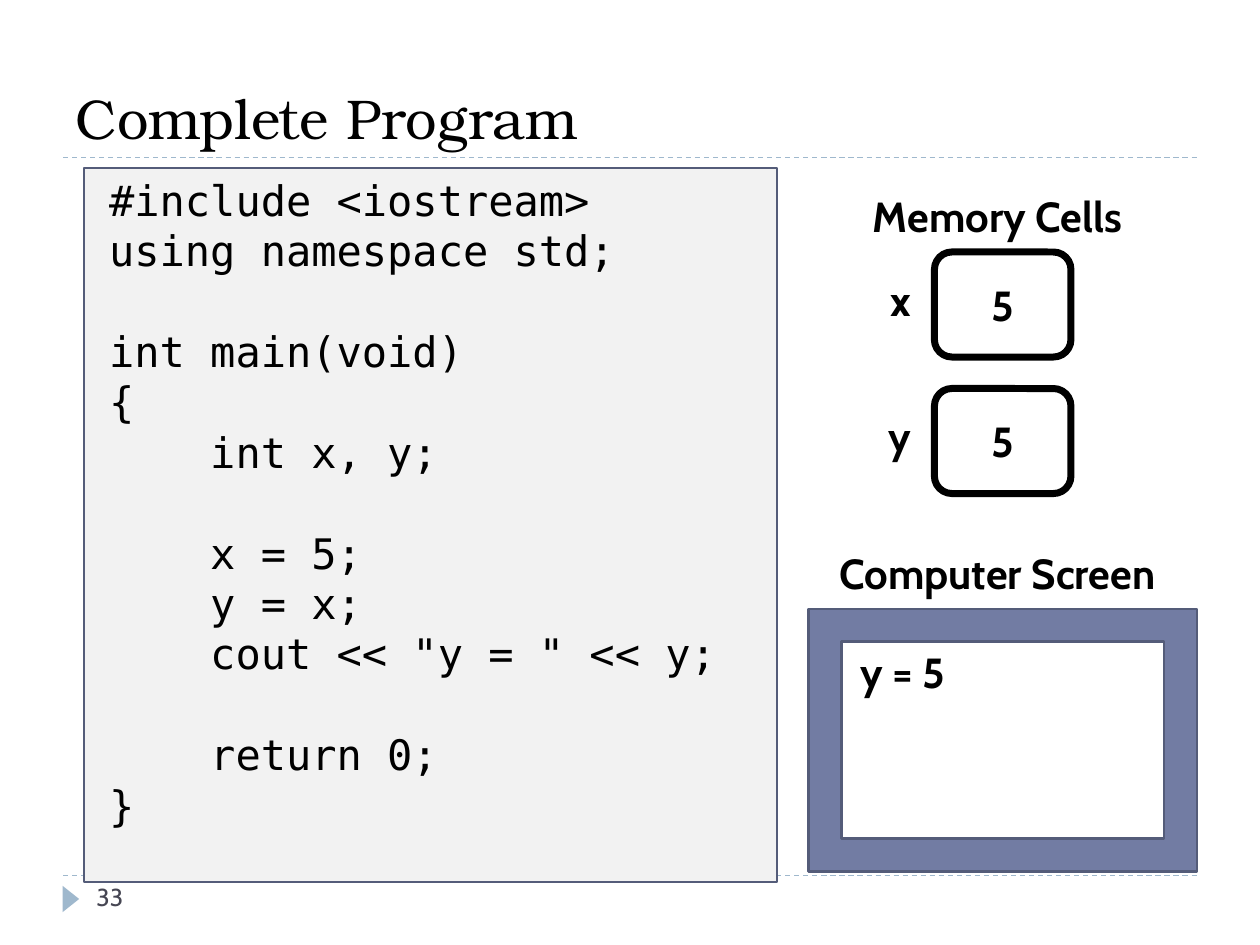
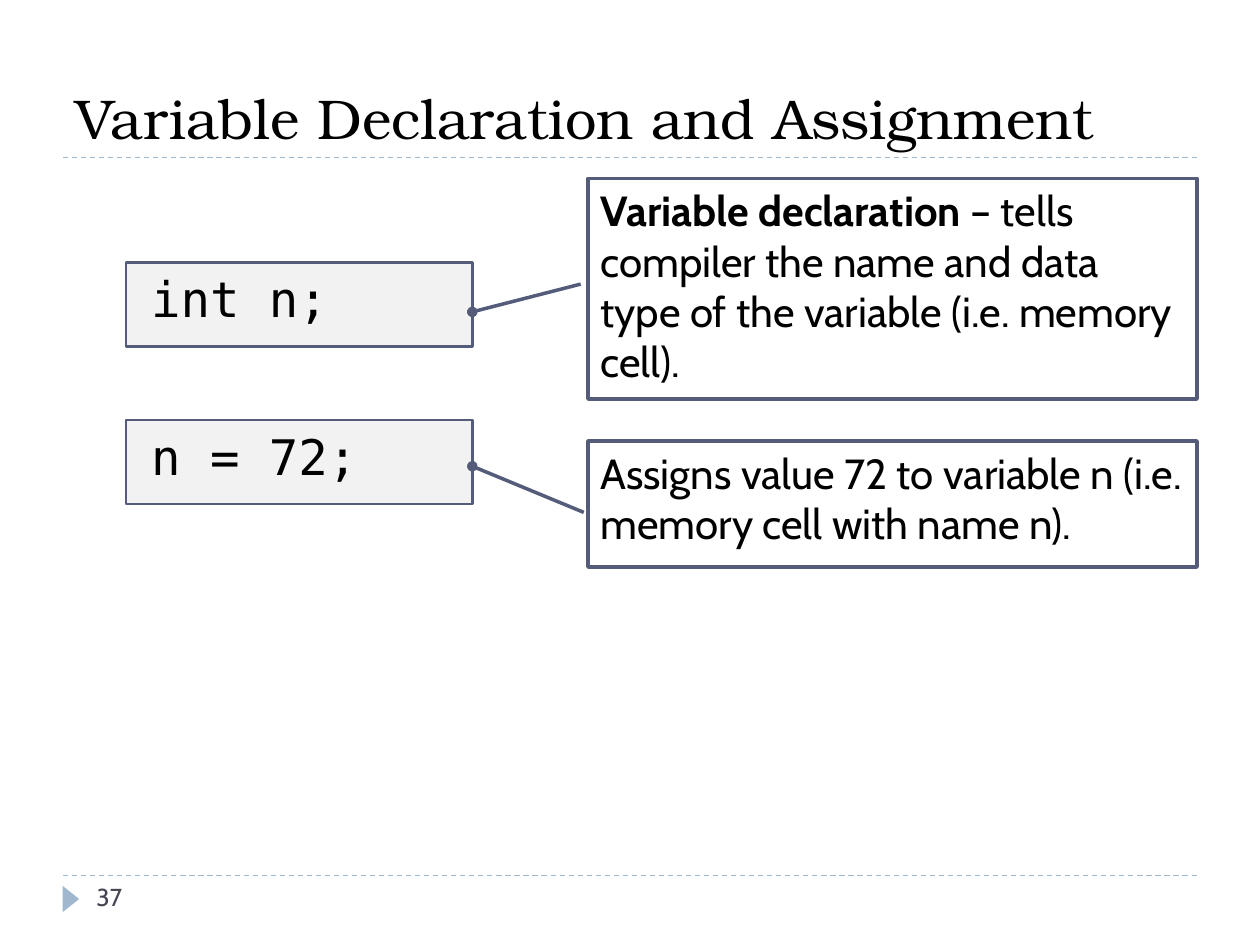
from lxml import etree
from pptx import Presentation
from pptx.dml.color import RGBColor
from pptx.enum.dml import MSO_LINE
from pptx.enum.shapes import MSO_CONNECTOR, MSO_SHAPE
from pptx.enum.text import MSO_ANCHOR, MSO_AUTO_SIZE, PP_ALIGN
from pptx.oxml.ns import qn
from pptx.util import Pt

LEFT, CENTER, RIGHT = PP_ALIGN.LEFT, PP_ALIGN.CENTER, PP_ALIGN.RIGHT
TOP, MIDDLE, BOTTOM = MSO_ANCHOR.TOP, MSO_ANCHOR.MIDDLE, MSO_ANCHOR.BOTTOM
RECTANGLE, ROUNDED = MSO_SHAPE.RECTANGLE, MSO_SHAPE.ROUNDED_RECTANGLE
FRAME, TRIANGLE = MSO_SHAPE.FRAME, MSO_SHAPE.ISOSCELES_TRIANGLE
CALLOUT = MSO_SHAPE.LINE_CALLOUT_1

BLACK = RGBColor(0x00, 0x00, 0x00)
WHITE = RGBColor(0xFF, 0xFF, 0xFF)
CODE_GREY = RGBColor(0xF2, 0xF2, 0xF2)
BORDER = RGBColor(0x54, 0x5C, 0x79)
SCREEN_BLUE = RGBColor(0x72, 0x7C, 0xA3)
RULE_BLUE = RGBColor(0x9F, 0xB8, 0xCD)
NUMBER_GREY = RGBColor(0x46, 0x46, 0x53)

TITLE_FONT, BODY_FONT, CODE_FONT = "TeX Gyre Bonum", "Cabin", "DejaVu Sans Mono"
MARGIN, RIGHT_EDGE = 36, 684
TITLE_RULE, FOOTER_RULE = 90, 500.4

# Content
PROGRAM_TITLE, PROGRAM_NUMBER = "Complete Program", "33"
PROGRAM = [
    "#include <iostream>",
    "using namespace std;",
    "",
    "int main(void)",
    "{",
    "    int x, y;",
    "",
    "    x = 5;",
    "    y = x;",
    '    cout << "y = " << y;',
    "",
    "    return 0;",
    "}",
]
MEMORY_CELLS = [("x", "5"), ("y", "5")]
SCREEN_OUTPUT = "y = 5"

STATEMENT_TITLE, STATEMENT_NUMBER = "Variable Declaration and Assignment", "37"
# Code, top of code, explanation spans (text, bold), top, height, fill, pointer
STATEMENTS = [
    ("int n;", 150,
     [("Variable declaration ", True),
      ("– tells compiler the name and data type of the variable "
       "(i.e. memory cell).", False)],
     102, 126, None, (0.479, -0.012, 0.605, -0.19)),
    ("n = 72;", 240,
     [("Assigns value 72 to variable n (i.e. memory cell with name n).", False)],
     252, 72, WHITE, (0.567, -0.007, 0.201, -0.19)),
]


def format_para(para, font, size, color=BLACK, bold=None, align=LEFT):
    para.alignment = align
    para.font.name = font
    para.font.size = Pt(size)
    para.font.color.rgb = color
    para.font.bold = bold


def prepare_frame(shape, anchor):
    frame = shape.text_frame
    frame.word_wrap = True
    frame.auto_size = MSO_AUTO_SIZE.NONE
    frame.vertical_anchor = anchor
    return frame


def add_label(page, text, place, align=CENTER, anchor=MIDDLE,
              size=24, color=BLACK, bold=True):
    box = page.shapes.add_textbox(*map(Pt, place))
    frame = prepare_frame(box, anchor)
    frame.text = text
    format_para(frame.paragraphs[0], BODY_FONT, size, color, bold, align)


def add_block(page, kind, place, fill=None, line=BORDER, width=1.5):
    block = page.shapes.add_shape(kind, *map(Pt, place))
    block.shadow.inherit = False
    if fill is None:
        block.fill.background()
    else:
        block.fill.solid()
        block.fill.fore_color.rgb = fill
    if line is None:
        block.line.fill.background()
    else:
        block.line.color.rgb = line
        block.line.width = Pt(width)
    return block


def add_code(page, lines, place, size):
    block = add_block(page, RECTANGLE, place, CODE_GREY)
    frame = prepare_frame(block, TOP)
    frame.margin_left = Pt(14.4)
    frame.text = "\n".join(lines)
    for para in frame.paragraphs:
        format_para(para, CODE_FONT, size)
        para.line_spacing = Pt(size * 1.2)


def add_callout(page, spans, place, fill, pointer):
    callout = add_block(page, CALLOUT, place, fill, width=2)
    for index, value in enumerate(pointer):
        callout.adjustments[index] = value
    line = callout.line._get_or_add_ln()
    etree.SubElement(line, qn("a:tailEnd"), type="oval")
    para = prepare_frame(callout, TOP).paragraphs[0]
    format_para(para, BODY_FONT, 24)
    for text, bold in spans:
        span = para.add_run()
        span.text = text
        span.font.bold = bold


def add_rule(page, y):
    rule = page.shapes.add_connector(
        MSO_CONNECTOR.STRAIGHT, Pt(MARGIN), Pt(y), Pt(RIGHT_EDGE), Pt(y))
    rule.line.color.rgb = RULE_BLUE
    rule.line.width = Pt(0.75)
    rule.line.dash_style = MSO_LINE.DASH
    etree.SubElement(rule._element.spPr, qn("a:effectLst"))


def add_page(deck, title_text, number):
    """Add a page with the shared title, rules, marker and number."""
    page = deck.slides.add_slide(deck.slide_layouts[5])
    for y in (FOOTER_RULE, TITLE_RULE):
        add_rule(page, y)
    marker = add_block(page, TRIANGLE, (33, 509, 15, 9.4), RULE_BLUE, None)
    marker.rotation = 90
    title = page.shapes.title
    title.left, title.top, title.width, title.height = map(
        Pt, (MARGIN, 12, RIGHT_EDGE - MARGIN, 78))
    frame = prepare_frame(title, BOTTOM)
    frame.text = title_text
    format_para(frame.paragraphs[0], TITLE_FONT, 32)
    add_label(page, number, (48, FOOTER_RULE, 156, 29), LEFT, TOP,
              14, NUMBER_GREY, False)
    return page


def build_program(deck):
    page = add_page(deck, PROGRAM_TITLE, PROGRAM_NUMBER)
    add_code(page, PROGRAM, (48, 96, 396, 408), 24)

    # Memory cells
    add_label(page, "Memory Cells", (480, 102, 180, 42))
    for index, (name, value) in enumerate(MEMORY_CELLS):
        top = 144 + 78 * index
        cell = add_block(page, ROUNDED, (534, top, 78, 60), line=BLACK, width=4)
        frame = prepare_frame(cell, MIDDLE)
        frame.text = value
        format_para(frame.paragraphs[0], BODY_FONT, 24, bold=True, align=CENTER)
        add_label(page, name, (498, top + 6, 30, 42), RIGHT)

    # Computer screen
    add_label(page, "Computer Screen", (462, 306, 216, 42))
    add_block(page, FRAME, (462, 348, 222, 150), SCREEN_BLUE)
    add_label(page, SCREEN_OUTPUT, (474, 360, 84, 48))


def build_statements(deck):
    page = add_page(deck, STATEMENT_TITLE, STATEMENT_NUMBER)
    for code, code_top, spans, top, height, fill, pointer in STATEMENTS:
        add_code(page, [code], (72, code_top, 198, 48), 28)
        add_callout(page, spans, (336, top, 348, height), fill, pointer)


def main():
    deck = Presentation()
    deck.slide_width, deck.slide_height = Pt(720), Pt(540)
    build_program(deck)
    build_statements(deck)
    deck.save("out.pptx")


if __name__ == "__main__":
    main()
